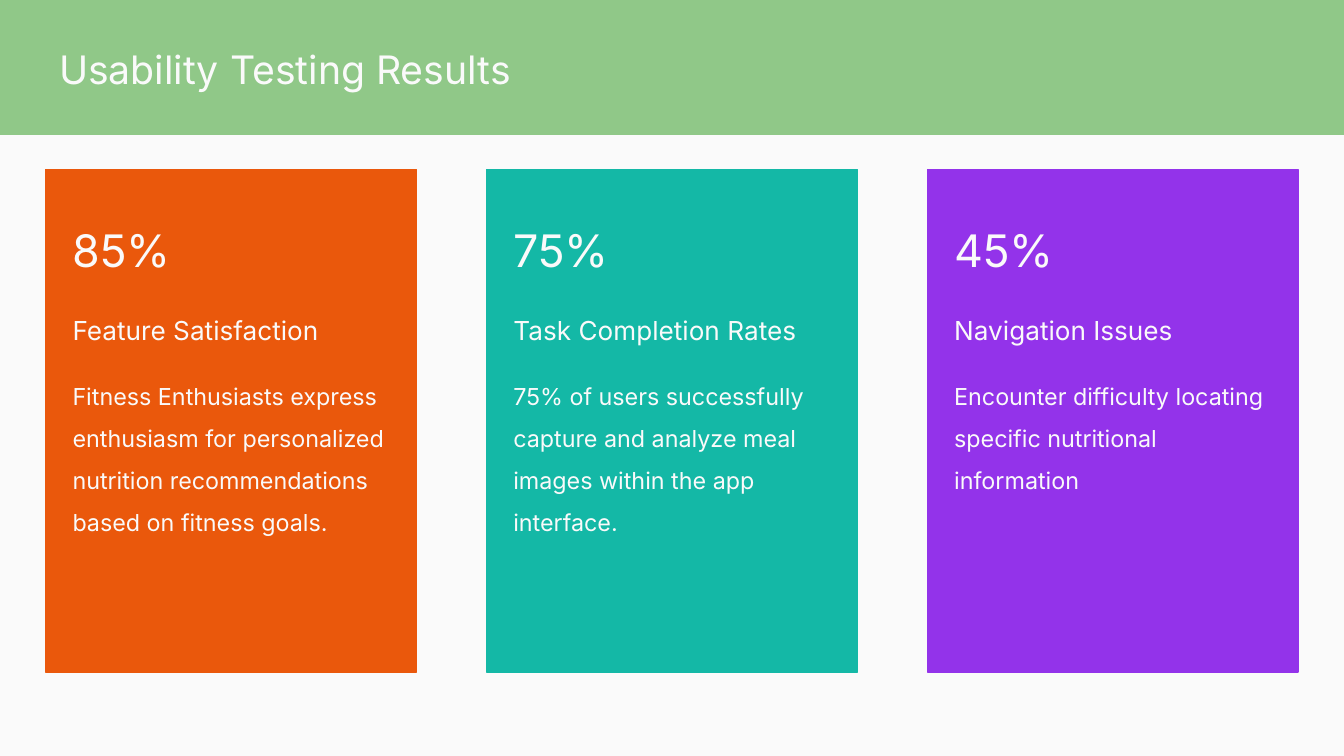
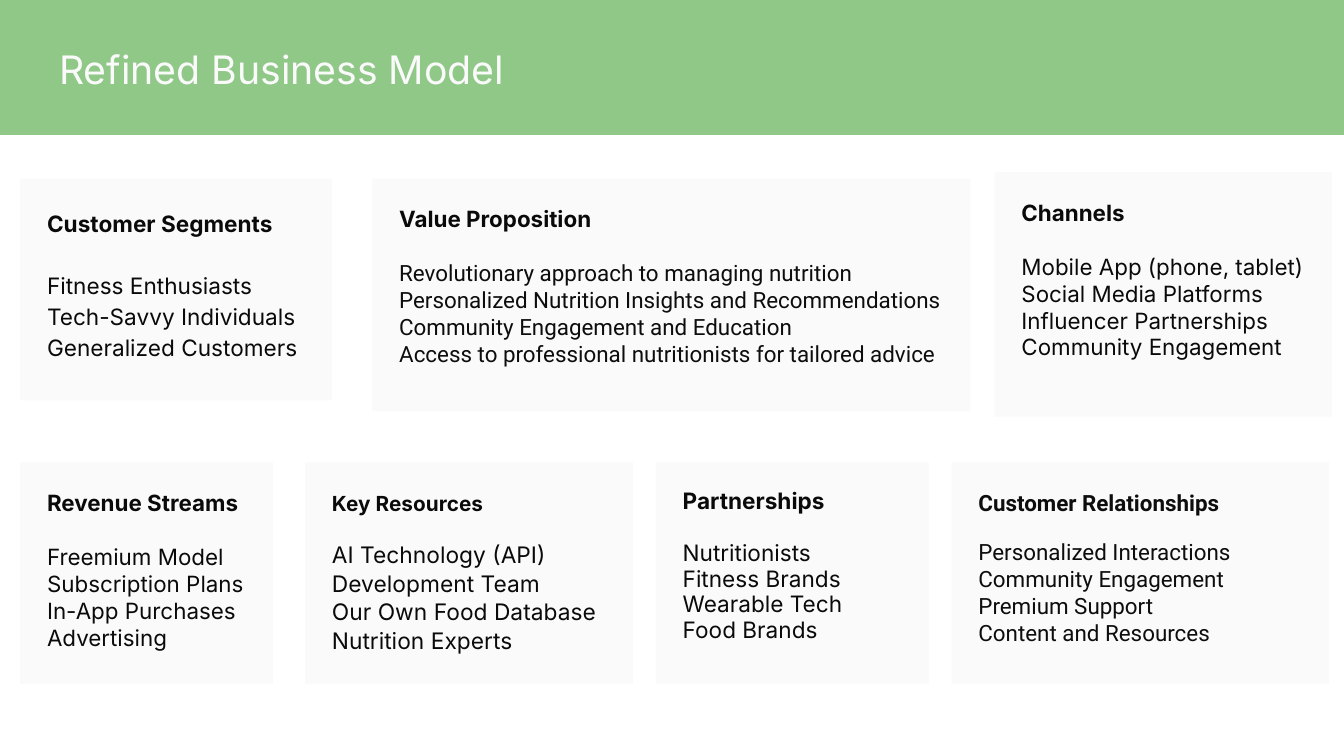
from pptx import Presentation
from pptx import util as u
from pptx.dml.color import RGBColor
from pptx.enum import shapes, text

GREEN = RGBColor(0x90, 0xC8, 0x88)
PALE = RGBColor(0xFA, 0xFA, 0xFA)
WHITE = RGBColor(0xFF, 0xFF, 0xFF)
INK = RGBColor(0x0A, 0x0A, 0x0A)
SOFT = RGBColor(0x0D, 0x0D, 0x0D)
ORANGE = RGBColor(0xEA, 0x58, 0x0C)
TEAL = RGBColor(0x14, 0xB8, 0xA6)
PURPLE = RGBColor(0x93, 0x33, 0xEA)


class Deck:
    font = "Inter"
    edge = 0.34

    def __init__(self):
        self.prs = Presentation()
        self.prs.slide_width = u.Inches(10)
        self.prs.slide_height = u.Inches(10 * 9 / 16)

    def page(self, title, back):
        self.slide = self.prs.slides.add_slide(self.prs.slide_layouts[5])
        fill = self.slide.background.fill
        fill.solid()
        fill.fore_color.rgb = back
        band = self.rect((0, 0, 10, 1), GREEN, GREEN)
        self.slide.shapes._spTree.insert(2, band._element)
        head = self.slide.shapes.title
        self.place(head, (self.edge, 0.24, 9.32, 0.63))
        frame = self.frame(head, 0.1)
        self.para(frame.paragraphs[0], title, dict(size=21, color=PALE))

    def place(self, shape, at):
        for name, val in zip(("left", "top", "width", "height"), at):
            setattr(shape, name, u.Inches(val))

    def rect(self, at, fill, line=None):
        box = self.slide.shapes.add_shape(
            shapes.MSO_SHAPE.RECTANGLE, *map(u.Inches, at))
        box.shadow.inherit = False
        box.fill.solid()
        box.fill.fore_color.rgb = fill
        if line is None:
            box.line.fill.background()
        else:
            box.line.color.rgb = line
            box.line.width = u.Pt(0.75)
        return box

    def frame(self, shape, inset):
        frame = shape.text_frame
        look = dict(word_wrap=True, auto_size=text.MSO_AUTO_SIZE.NONE,
                    vertical_anchor=text.MSO_ANCHOR.TOP)
        for side in ("left", "top", "right", "bottom"):
            look["margin_" + side] = u.Inches(inset)
        for name, val in look.items():
            setattr(frame, name, val)
        return frame

    def para(self, para, words, look):
        para.text = words
        form = dict(alignment=text.PP_ALIGN.LEFT,
                    line_spacing=look.get("lead", 1.0),
                    space_before=u.Pt(look.get("gap", 0)),
                    space_after=u.Pt(look.get("tail", 0)))
        for name, val in form.items():
            setattr(para, name, val)
        font = dict(name=look.get("font", self.font),
                    size=u.Pt(look["size"]), bold=look.get("bold", False))
        for name, val in font.items():
            setattr(para.font, name, val)
        para.font.color.rgb = look["color"]

    def card(self, at, fill, lines, line=None):
        frame = self.frame(self.rect(at, fill, line), 0.2)
        for i, (words, look) in enumerate(lines):
            para = frame.add_paragraph() if i else frame.paragraphs[0]
            self.para(para, words, look)

    def stat(self, i, fill, *words):
        base = dict(color=PALE, lead=1.5)
        looks = (dict(base, size=24), dict(base, size=14, gap=12),
                 dict(base, size=12.5, gap=12, tail=12))
        at = (self.edge + 3.28 * i, 1.26, 2.76, 3.74)
        self.card(at, fill, zip(words, looks), fill)

    def block(self, at, head, items, gap=14.5, top=None, **look):
        base = {"size": 12, "color": INK, **look}
        lines = [(head, {**base, "bold": True, **(top or {})})]
        for i, item in enumerate(items):
            lines.append((item, dict(base, gap=0 if i else gap)))
        self.card(at, PALE, lines)


def main():
    deck = Deck()
    deck.page("Usability Testing Results", PALE)
    stats = (
        (ORANGE, "85%", "Feature Satisfaction",
         "Fitness Enthusiasts express enthusiasm for personalized "
         "nutrition recommendations based on fitness goals."),
        (TEAL, "75%", "Task Completion Rates",
         "75% of users successfully capture and analyze meal images "
         "within the app interface."),
        (PURPLE, "45%", "Navigation Issues",
         "Encounter difficulty locating specific nutritional information"),
    )
    for i, stat in enumerate(stats):
        deck.stat(i, *stat)

    deck.page("Refined Business Model", WHITE)
    left, low, tall = 0.15, 3.44, 1.65
    deck.block((left, 1.33, 2.32, tall), "Customer Segments",
               ("Fitness Enthusiasts", "Tech-Savvy Individuals",
                "Generalized Customers"),
               gap=16.8, size=12.1, lead=1.15)
    deck.block((2.77, 1.33, 4.45, 1.73), "Value Proposition",
               ("Revolutionary approach to managing nutrition",
                "Personalized Nutrition Insights and Recommendations",
                "Community Engagement and Education",
                "Access to professional nutritionists for tailored advice"),
               top=dict(font="Inter", color=INK), font="Roboto", color=SOFT)
    deck.block((7.4, 1.28, 2.51, 1.82), "Channels",
               ("Mobile App (phone, tablet)",
                "Social Media Platforms Influencer Partnerships",
                "Community Engagement"))
    deck.block((left, low, 1.88, tall), "Revenue Streams",
               ("Freemium Model", "Subscription Plans",
                "In-App Purchases", "Advertising"))
    deck.block((2.27, low, 2.44, tall), "Key Resources",
               ("AI Technology (API)", "Development Team",
                "Our Own Food Database", "Nutrition Experts"),
               gap=13, top=dict(size=11.1), size=12.2, lead=1.05)
    deck.block((4.88, low, 2.03, tall), "Partnerships",
               ("Nutritionists", "Fitness Brands Wearable Tech",
                "Food Brands"),
               gap=13.9, size=12.1, lead=0.95)
    deck.block((7.08, low, 2.81, tall), "Customer Relationships",
               ("Personalized Interactions", "Community Engagement",
                "Premium Support", "Content and Resources"),
               gap=12, font="Roboto", color=SOFT)
    deck.prs.save("out.pptx")


if __name__ == "__main__":
    main()
